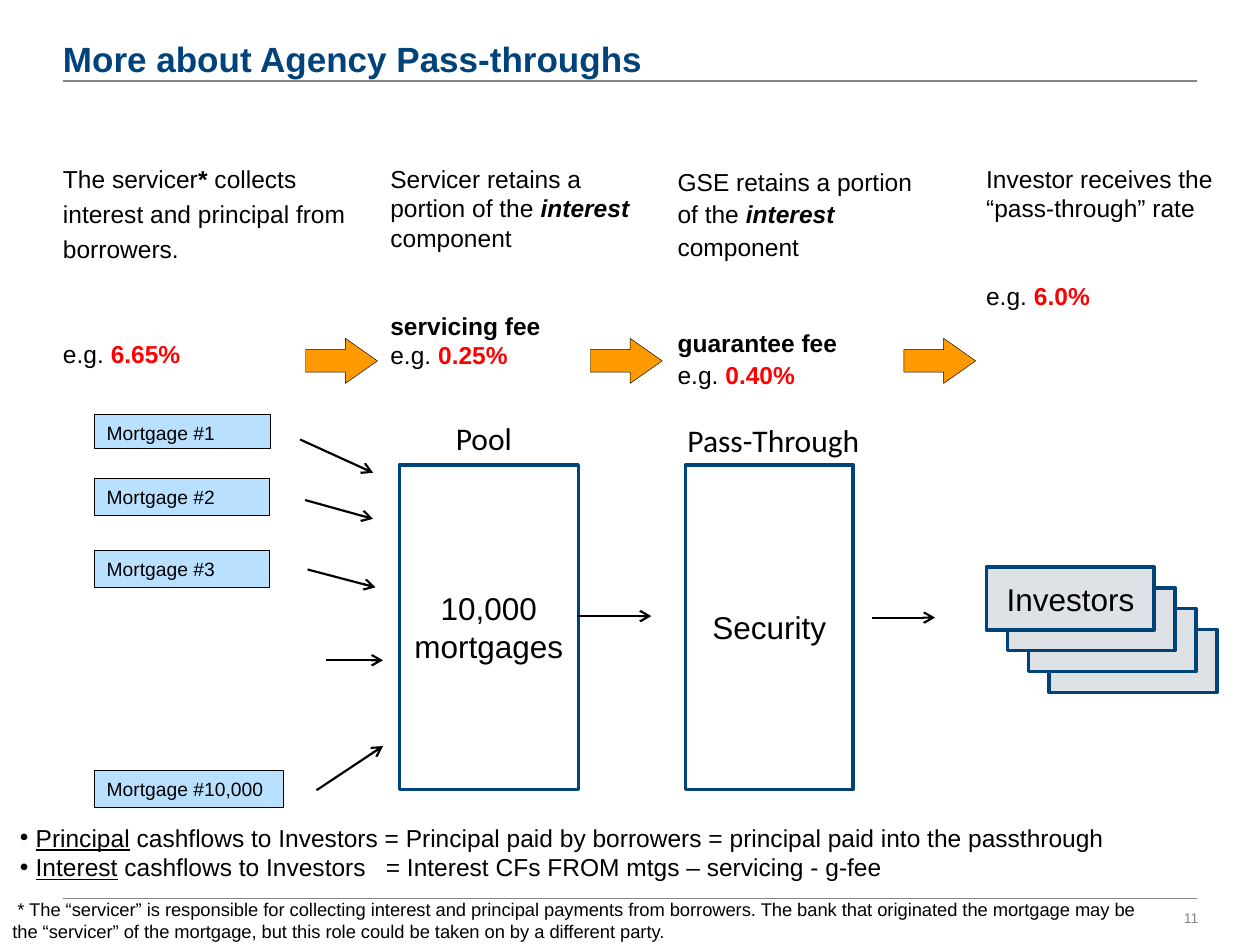
from lxml.etree import SubElement
from pptx import Presentation
from pptx.dml.color import RGBColor
from pptx.enum.shapes import MSO_CONNECTOR, MSO_SHAPE as Form
from pptx.enum.text import MSO_ANCHOR as Anchor, PP_ALIGN as Align
from pptx.oxml.ns import qn
from pptx.util import Cm, Pt

BLACK = RGBColor(0x00, 0x00, 0x00)
NAVY = RGBColor(0x00, 0x43, 0x79)
TITLE = RGBColor(0x00, 0x43, 0x7B)
GREY = RGBColor(0x86, 0x86, 0x86)
PALE = RGBColor(0xDE, 0xE1, 0xE6)
SKY = RGBColor(0xBA, 0xE0, 0xFF)
ORANGE = RGBColor(0xFF, 0x99, 0x00)
RED = RGBColor(0xFF, 0x00, 0x00)

deck = Presentation()
deck.slide_width, deck.slide_height = Cm(25.4), Cm(19.05)
shapes = deck.slides.add_slide(deck.slide_layouts[6]).shapes


def write(para, runs, size, color=BLACK, face="Arial"):
    """Add (text, marks) runs; marks: b bold, i italic, u underline, r red."""
    for text, marks in runs:
        run = para.add_run()
        run.text = text
        font = run.font
        font.name, font.size = face, Pt(size)
        font.bold, font.italic = "b" in marks, "i" in marks
        font.underline = "u" in marks
        font.color.rgb = RED if "r" in marks else color


def draw_line(ends, color, width):
    line = shapes.add_connector(MSO_CONNECTOR.STRAIGHT, *map(Cm, ends))
    line.line.color.rgb = color
    line.line.width = Pt(width)
    SubElement(line._element.spPr, qn("a:effectLst"))
    return line


# Rules above and below the content
for y in (1.63, 18.11):
    draw_line((1.27, y, 24.13, y), GREY, 1)

# Single-line texts: place, text, marks, size, colour, face, inset, align
labels = [
    ((23.8, 18.34, 0.36, 0.33), "11", "", 8, GREY, "Arial", False, Align.RIGHT),
    ((1.27, 0.76, 22.83, 0.86), "More about Agency Pass-throughs", "b", 20,
     TITLE, "Arial", False, Align.LEFT),
    ((13.61, 8.36, 4.01, 1.02), "Pass-Through", "", 18, BLACK, "Calibri",
     True, Align.LEFT),
    ((8.94, 8.33, 1.65, 1.02), "Pool", "", 18, BLACK, "Calibri",
     True, Align.LEFT),
]
for place, text, marks, size, color, face, inset, align in labels:
    frame = shapes.add_textbox(*map(Cm, place)).text_frame
    frame.word_wrap = False
    if not inset:
        frame.margin_left = frame.margin_right = 0
        frame.margin_top = frame.margin_bottom = 0
    para = frame.paragraphs[0]
    para.alignment = align
    write(para, [(text, marks)], size, color, face)

# Four explanations: left, width, inset, line spacing, gap before part two
steps = [
    (1.27, 6.02, False, 1.2, 40, [
        [("The servicer", ""), ("*", "b"),
         (" collects interest and principal from borrowers.", "")],
        [("e.g. ", ""), ("6.65%", "br")]]),
    (7.62, 5.33, True, 1.0, 33.5, [
        [("Servicer retains a portion of the ", ""), ("interest", "bi"),
         (" component", "")],
        [("servicing fee", "b")],
        [("e.g. ", ""), ("0.25%", "br")]]),
    (13.41, 5.33, True, 1.1, 36.5, [
        [("GSE retains a portion of the ", ""), ("interest", "bi"),
         (" component", "")],
        [("guarantee fee", "b")],
        [("e.g. ", ""), ("0.40%", "br")]]),
    (19.63, 5.13, True, 1.0, 33.5, [
        [("Investor receives the “pass-through” rate", "")],
        [("e.g. ", ""), ("6.0%", "br")]]),
]
for left, width, inset, pitch, gap, paras in steps:
    frame = shapes.add_textbox(Cm(left), Cm(3.18), Cm(width), Cm(4.65)).text_frame
    frame.word_wrap = True
    if not inset:
        frame.margin_left = frame.margin_right = 0
        frame.margin_top = frame.margin_bottom = 0
    for n, runs in enumerate(paras):
        para = frame.add_paragraph() if n else frame.paragraphs[0]
        para.line_spacing = pitch
        if n == 1:
            para.space_before = Pt(gap)
        write(para, runs, 14)

# Boxes: place, text, size, fill, line colour, line width, anchor, align
loan = (11, SKY, BLACK, 0.75, Anchor.TOP, Align.LEFT)
hub = (18, None, NAVY, 2, Anchor.MIDDLE, Align.CENTER)
holder = (18, PALE, NAVY, 2, Anchor.MIDDLE, Align.CENTER)
boxes = [
    ((1.9, 8.36, 3.56, 0.69), "Mortgage #1", loan),
    ((1.9, 9.65, 3.53, 0.74), "Mortgage #2", loan),
    ((1.9, 11.1, 3.53, 0.74), "Mortgage #3", loan),
    ((1.9, 15.54, 3.81, 0.74), "Mortgage #10,000", loan),
    ((8.05, 9.37, 3.61, 6.55), "10,000 mortgages", hub),
    ((13.82, 9.37, 3.38, 6.55), "Security", hub),
]
for n in (3, 2, 1, 0):
    place = (19.89 + 0.42 * n, 11.43 + 0.42 * n, 3.38, 1.27)
    boxes.append((place, "" if n else "Investors", holder))
for place, text, (size, fill, edge, width, anchor, align) in boxes:
    box = shapes.add_shape(Form.RECTANGLE, *map(Cm, place))
    box.shadow.inherit = False
    if fill is None:
        box.fill.background()
    else:
        box.fill.solid()
        box.fill.fore_color.rgb = fill
    box.line.color.rgb = edge
    box.line.width = Pt(width)
    if text:
        frame = box.text_frame
        frame.word_wrap = True
        frame.vertical_anchor = anchor
        frame.paragraphs[0].alignment = align
        write(frame.paragraphs[0], [(text, "")], size)

# Flow arrows
flows = [
    (6.05, 8.86, 7.52, 9.53), (6.15, 10.08, 7.52, 10.46),
    (6.2, 11.48, 7.57, 11.84), (6.58, 13.31, 7.72, 13.31),
    (6.38, 15.93, 7.72, 15.04), (11.63, 12.42, 13.13, 12.42),
    (17.58, 12.45, 18.85, 12.45),
]
for ends in flows:
    line = draw_line(ends, BLACK, 1.25)
    SubElement(line.line._get_or_add_ln(), qn("a:tailEnd"), type="arrow")

# Block arrows between the explanations
for left in (6.43, 12.17, 18.49):
    arrow = shapes.add_shape(Form.DOWN_ARROW, Cm(left), Cm(6.55), Cm(0.91), Cm(1.45))
    arrow.rotation = 270
    arrow.adjustments[0], arrow.adjustments[1] = 0.5, 0.71
    arrow.shadow.inherit = False
    arrow.fill.solid()
    arrow.fill.fore_color.rgb = ORANGE
    arrow.line.color.rgb = BLACK
    arrow.line.width = Pt(0.25)

# Cashflow bullets
points = [
    [("Principal", "u"), (" cashflows to Investors = Principal paid by borrowers"
                          " = principal paid into the passthrough", "")],
    [("Interest", "u"), (" cashflows to Investors\t= Interest CFs FROM mtgs"
                         " – servicing - g-fee", "")],
]
frame = shapes.add_textbox(Cm(0.15), Cm(16.46), Cm(24.94), Cm(1.45)).text_frame
frame.word_wrap = True
for n, runs in enumerate(points):
    para = frame.add_paragraph() if n else frame.paragraphs[0]
    props = para._p.get_or_add_pPr()
    props.set("marL", str(Cm(0.32)))
    props.set("indent", str(-Cm(0.32)))
    SubElement(props, qn("a:buFont"), typeface="Arial")
    SubElement(props, qn("a:buChar"), char="•")
    tabs = SubElement(props, qn("a:tabLst"))
    SubElement(tabs, qn("a:tab"), pos=str(Cm(7.38)), algn="l")
    write(para, runs, 14)

# Footnote
frame = shapes.add_textbox(0, Cm(17.98), Cm(23.7), Cm(1.19)).text_frame
frame.word_wrap = True
note = (" * The “servicer” is responsible for collecting interest and principal "
        "payments from borrowers. The bank that originated the mortgage may be "
        "the “servicer” of the mortgage, but this role could be taken on by a "
        "different party.")
write(frame.paragraphs[0], [(note, "")], 10.5)

deck.save("out.pptx")
